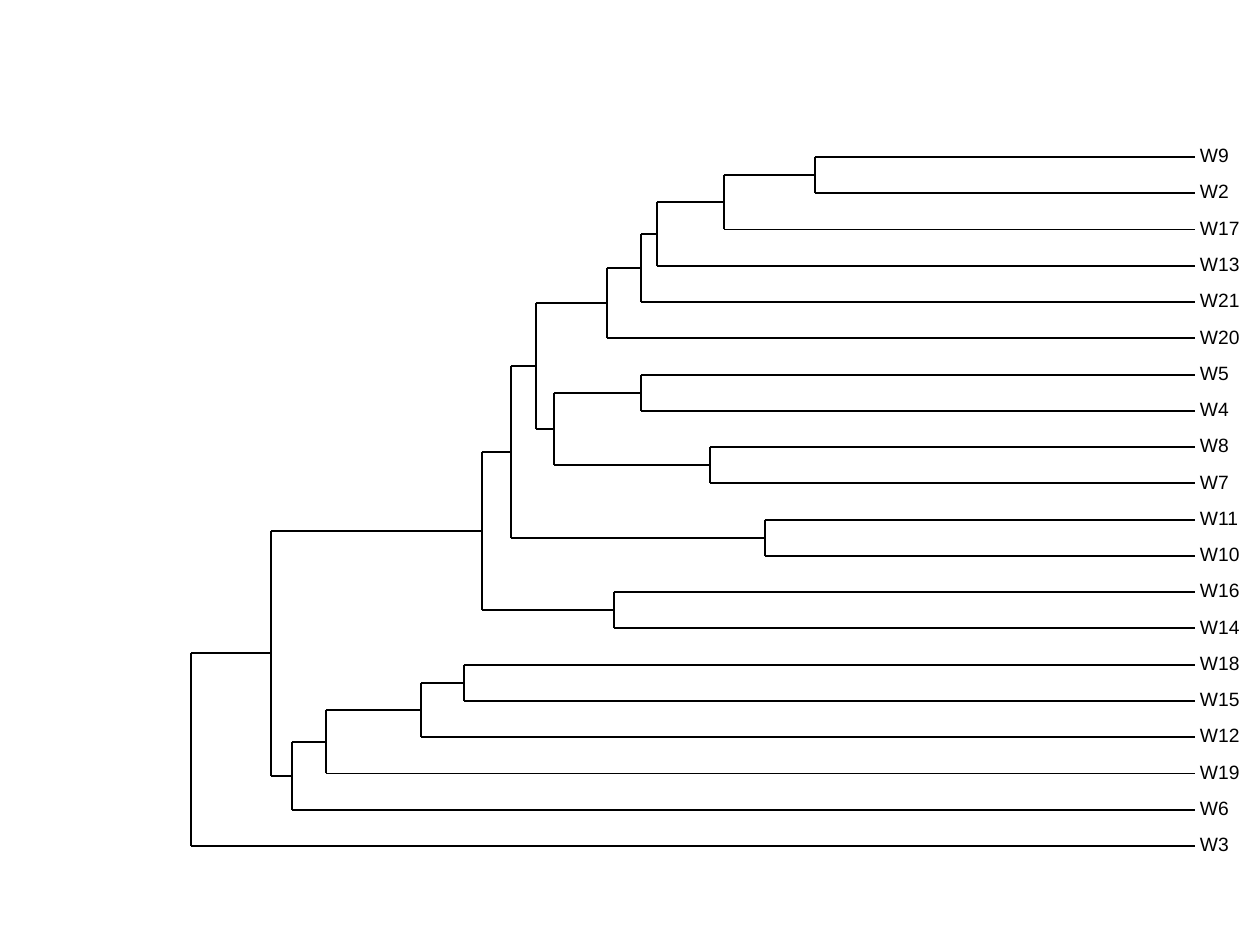
from pptx import Presentation
from pptx.dml.color import RGBColor
from pptx.enum.shapes import MSO_CONNECTOR
from pptx.enum.text import MSO_ANCHOR
from pptx.oxml.ns import qn
from pptx.util import Pt
from lxml.etree import SubElement

PX = 914400 / 126
INK = "000000"
TOP, BOTTOM = 157, 846
TIP, LABEL = 1195, 1200
SMALL, LARGE = 29, 40
HIGH = 14

UPPER = (607, (641, (657, (724, (815, "W9", "W2"), "W17"), "W13"), "W21"), "W20")
PAIRS = (554, (641, "W5", "W4"), (710, "W8", "W7"))
MIDDLE = (482, (511, (536, UPPER, PAIRS), (765, "W11", "W10")), (614, "W16", "W14"))
LOWER = (292, (326, (421, (464, "W18", "W15"), "W12"), "W19"), "W6")
TREE = (191, (271, MIDDLE, LOWER), "W3")


def emu(px):
    return round(px * PX)


def color(code):
    return RGBColor.from_string(code)


def leaves(node):
    if isinstance(node, str):
        return [node]
    return leaves(node[1]) + leaves(node[2])


deck = Presentation()
deck.slide_width, deck.slide_height = emu(1260), emu(945)
slide = deck.slides.add_slide(deck.slide_layouts[6])
shapes = slide.shapes.add_group_shape().shapes

names = leaves(TREE)
step = (BOTTOM - TOP) / (len(names) - 1)
rows = {name: TOP + i * step for i, name in enumerate(names)}


def line(*ends):
    link = shapes.add_connector(MSO_CONNECTOR.STRAIGHT, *map(emu, ends))
    link.line.color.rgb = color(INK)
    link.line.width = Pt(1.07)
    SubElement(link._element.spPr, qn("a:effectLst"))


def label(name, y):
    wide = SMALL if len(name) == 2 else LARGE
    box = shapes.add_textbox(emu(LABEL), emu(y - HIGH / 2), emu(wide), emu(HIGH))
    frame = box.text_frame
    frame.margin_left = frame.margin_right = 0
    frame.margin_top = frame.margin_bottom = 0
    frame.vertical_anchor = MSO_ANCHOR.MIDDLE
    frame.word_wrap = False
    para = frame.paragraphs[0]
    para.line_spacing = Pt(11)
    run = para.add_run()
    run.text = name
    run.font.name = "Arial"
    run.font.size = Pt(11)
    run.font.color.rgb = color(INK)


def draw(node):
    if isinstance(node, str):
        return TIP, rows[node]
    x, *kids = node
    ends = [draw(kid) for kid in kids]
    mid = sum(y for _, y in ends) / 2
    for right, y in ends:
        line(x, y, right, y)
        line(x, mid, x, y)
    return x, mid


draw(TREE)
for name, y in rows.items():
    label(name, y)

deck.save("out.pptx")
